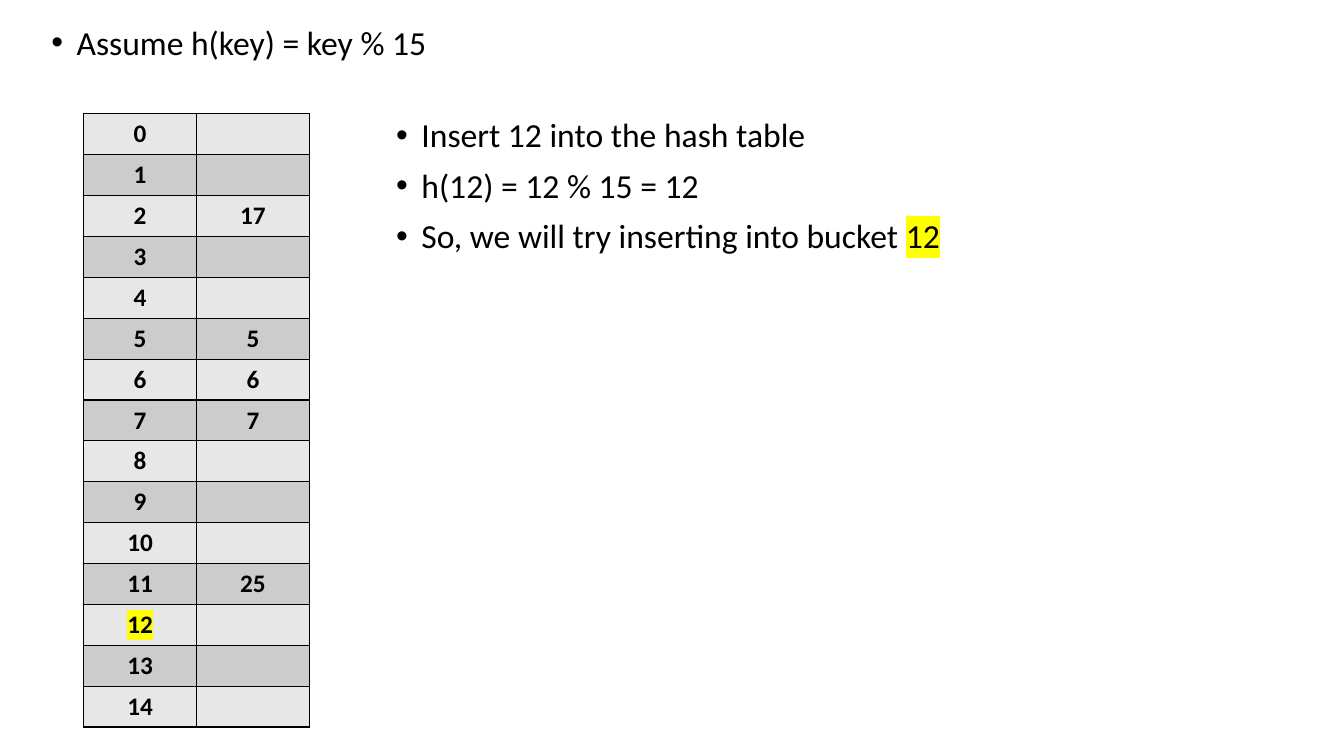
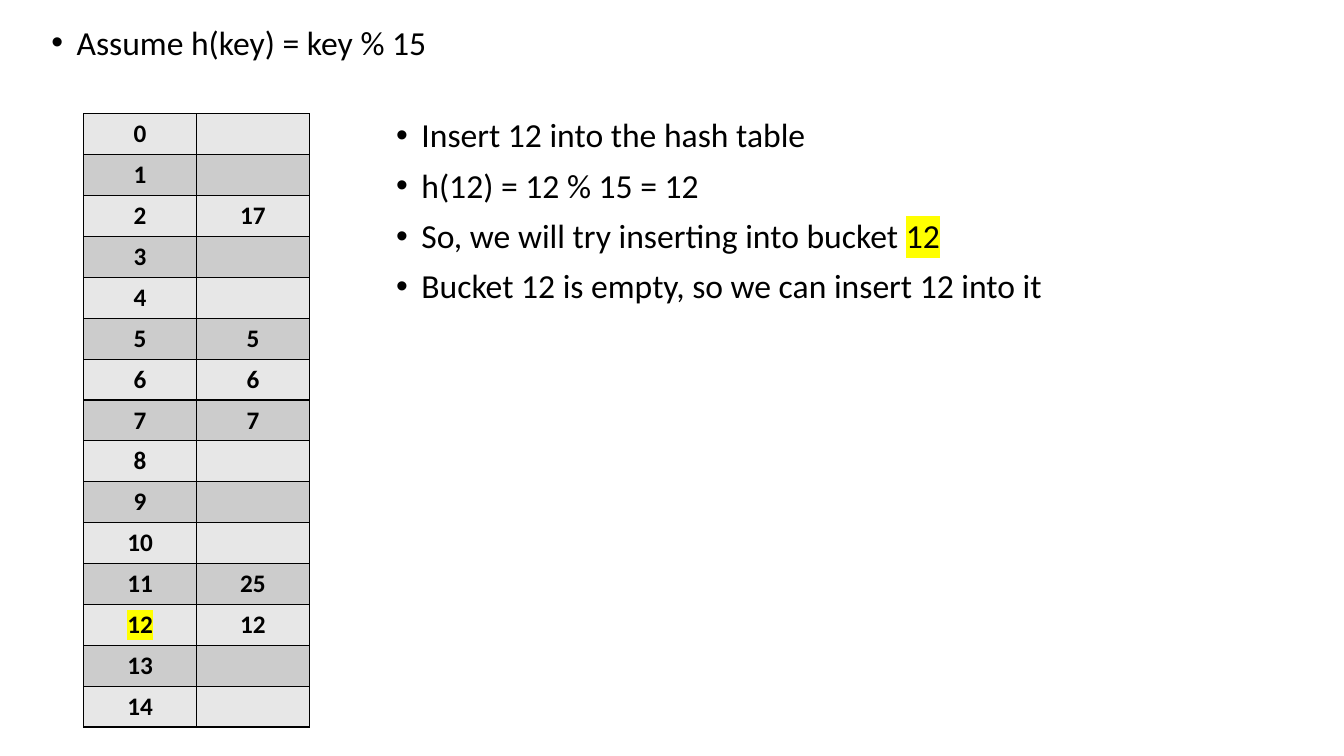
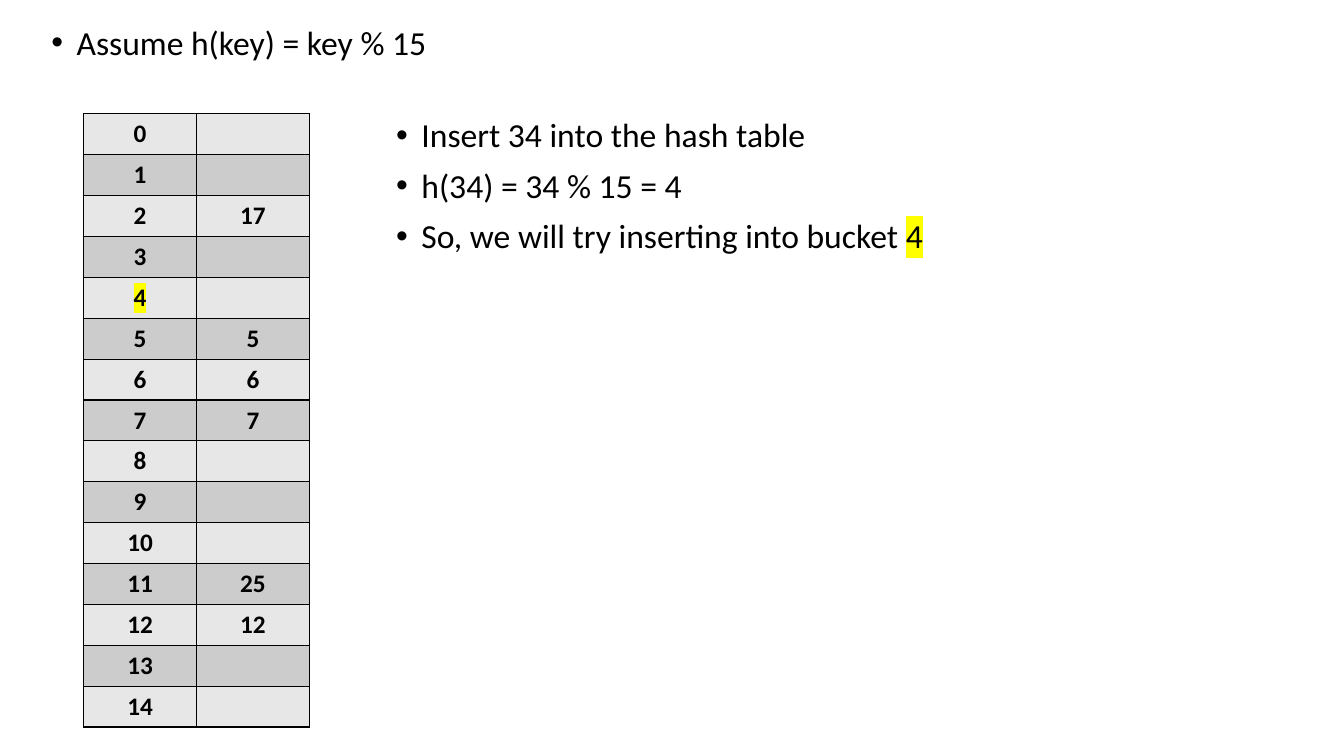
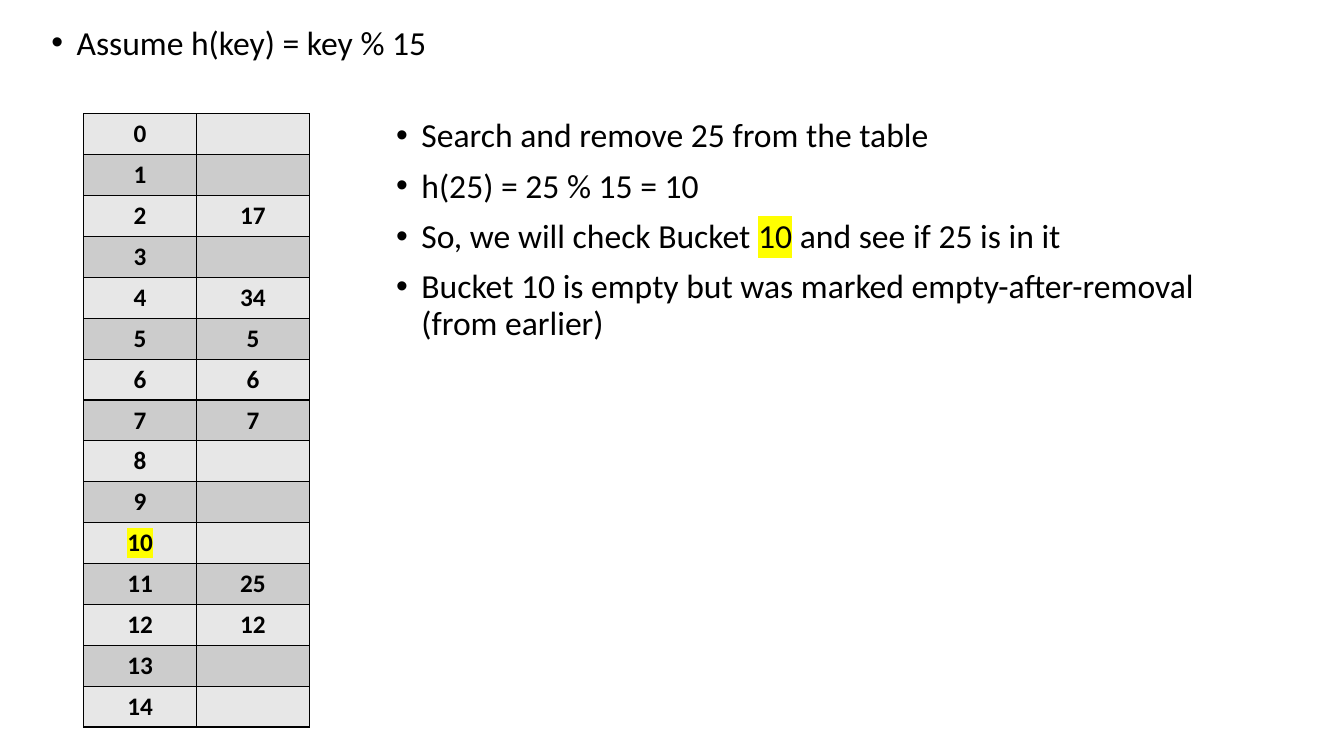
import lxml.etree
import pptx
import pptx.dml.color
import pptx.enum.text
import pptx.oxml.ns
import pptx.util

Inches = pptx.util.Inches
Pt = pptx.util.Pt
qn = pptx.oxml.ns.qn

COLORS = {
    "text": "000000",
    "border": "000000",
    "even_row": "E7E7E7",
    "odd_row": "CCCCCC",
    "highlight": "FFFF00",
}
LIST_FONT = {"name": "Calibri", "size": Pt(24), "bold": False}
BUCKET_FONT = {"name": "Calibri", "size": Pt(18), "bold": True}
FIRST_STEP = {"line_spacing": 0.9, "space_before": Pt(0)}
NEXT_STEP = {"line_spacing": 0.9, "space_before": Pt(10)}

ASSUMPTION_BOX = (0.41, 0.21, 11.5, 0.76)
BUCKETS_BOX = (0.83, 1.13, 2.24, 6)
STEPS_BOX = (3.83, 1.13, 8.31, 5.32)

BUCKET_COUNT = 15
ASSUMPTION = [["Assume h(key) = key % 15"]]
INSERT_12 = [
    ["Insert 12 into the hash table"],
    ["h(12) = 12 % 15 = 12"],
    ["So, we will try inserting into bucket ", "12"],
]
INSERT_34 = [
    ["Insert 34 into the hash table"],
    ["h(34) = 34 % 15 = 4"],
    ["So, we will try inserting into bucket ", "4"],
]
REMOVE_25 = [
    ["Search and remove 25 from the table"],
    ["h(25) = 25 % 15 = 10"],
    ["So, we will check Bucket ", "10", " and see if 25 is in it"],
    ["Bucket 10 is empty but was marked empty-after-removal (from earlier)"],
]
START = {2: 17, 5: 5, 6: 6, 7: 7, 11: 25}
WITH_12 = {**START, 12: 12}
WITH_34 = {**WITH_12, 4: 34}
STAGES = [
    (START, 12, INSERT_12),
    (WITH_12, 12, INSERT_12 + [["Bucket 12 is empty, so we can insert 12 into it"]]),
    (WITH_12, 4, INSERT_34),
    (WITH_34, 10, REMOVE_25),
]


def rgb(name):
    return pptx.dml.color.RGBColor.from_string(COLORS[name])


def apply_format(target, values):
    for attribute, value in values.items():
        setattr(target, attribute, value)


def add_color(parent, name):
    lxml.etree.SubElement(parent, qn("a:srgbClr"), val=COLORS[name])


def add_words(paragraph, words, font, highlighted=False):
    run = paragraph.add_run()
    run.text = words
    run.font.color.rgb = rgb("text")
    apply_format(run.font, font)
    if highlighted:
        properties = run.font.fill._xPr
        marker = lxml.etree.SubElement(properties, qn("a:highlight"))
        add_color(marker, "highlight")
        properties.find(qn("a:solidFill")).addnext(marker)


def add_bullet(paragraph):
    properties = paragraph._p.get_or_add_pPr()
    properties.set("marL", str(Inches(0.25)))
    properties.set("indent", str(-Inches(0.25)))
    lxml.etree.SubElement(properties, qn("a:buFont"), typeface="Arial")
    lxml.etree.SubElement(properties, qn("a:buChar"), char="•")


def fill_list(placeholder, box, steps):
    placement = zip(("left", "top", "width", "height"), map(Inches, box))
    apply_format(placeholder, dict(placement))
    frame = placeholder.text_frame
    frame.word_wrap = True
    frame.auto_size = pptx.enum.text.MSO_AUTO_SIZE.NONE
    for number, step in enumerate(steps):
        paragraph = frame.add_paragraph() if number else frame.paragraphs[0]
        add_bullet(paragraph)
        apply_format(paragraph, NEXT_STEP if number else FIRST_STEP)
        for position, words in enumerate(step):
            add_words(paragraph, words, LIST_FONT, highlighted=position == 1)


def style_cell(cell, fill_name):
    properties = cell._tc.get_or_add_tcPr()
    for side in ("lnL", "lnR", "lnT", "lnB"):
        border = lxml.etree.SubElement(properties, qn("a:" + side), w=str(Pt(1)))
        add_color(lxml.etree.SubElement(border, qn("a:solidFill")), "border")
    cell.fill.solid()
    cell.fill.fore_color.rgb = rgb(fill_name)


def add_buckets(slide, box, stored, target):
    buckets = slide.shapes.add_table(BUCKET_COUNT, 2, *map(Inches, box)).table
    apply_format(buckets, {"first_row": False, "horz_banding": False})
    for index in range(BUCKET_COUNT):
        for column, value in enumerate((index, stored.get(index))):
            cell = buckets.cell(index, column)
            style_cell(cell, "odd_row" if index % 2 else "even_row")
            paragraph = cell.text_frame.paragraphs[0]
            paragraph.alignment = pptx.enum.text.PP_ALIGN.CENTER
            if value is not None:
                marked = column == 0 and index == target
                add_words(paragraph, str(value), BUCKET_FONT, marked)


def add_stage(deck, stored, target, steps):
    slide = deck.slides.add_slide(deck.slide_layouts.get_by_name("Two Content"))
    title = slide.shapes.title._element
    title.getparent().remove(title)
    fill_list(slide.placeholders[1], ASSUMPTION_BOX, ASSUMPTION)
    add_buckets(slide, BUCKETS_BOX, stored, target)
    fill_list(slide.placeholders[2], STEPS_BOX, steps)


def main():
    deck = pptx.Presentation()
    deck.slide_width = Inches(13.33)
    deck.slide_height = Inches(7.5)
    for stored, target, steps in STAGES:
        add_stage(deck, stored, target, steps)
    deck.save("out.pptx")


if __name__ == "__main__":
    main()
